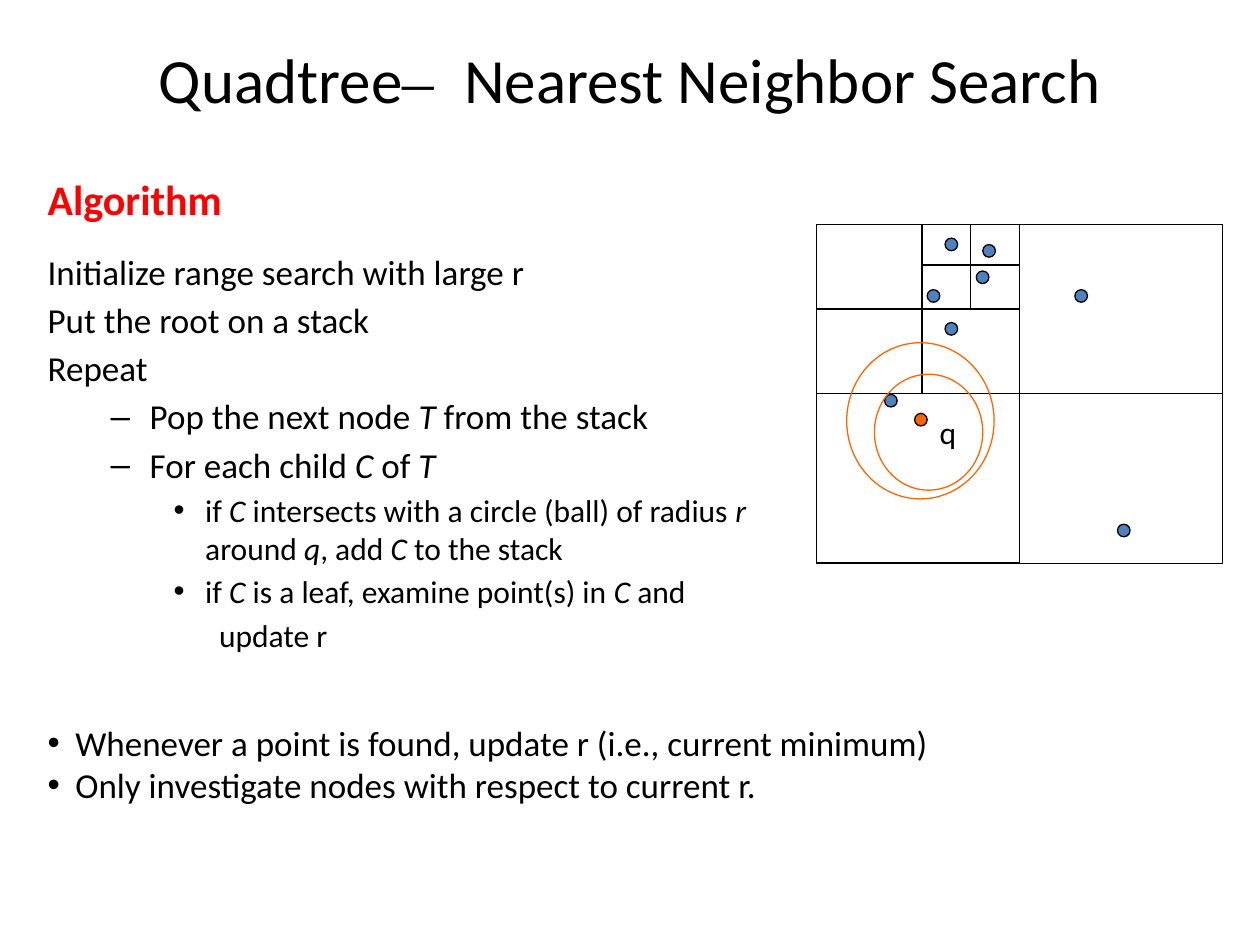
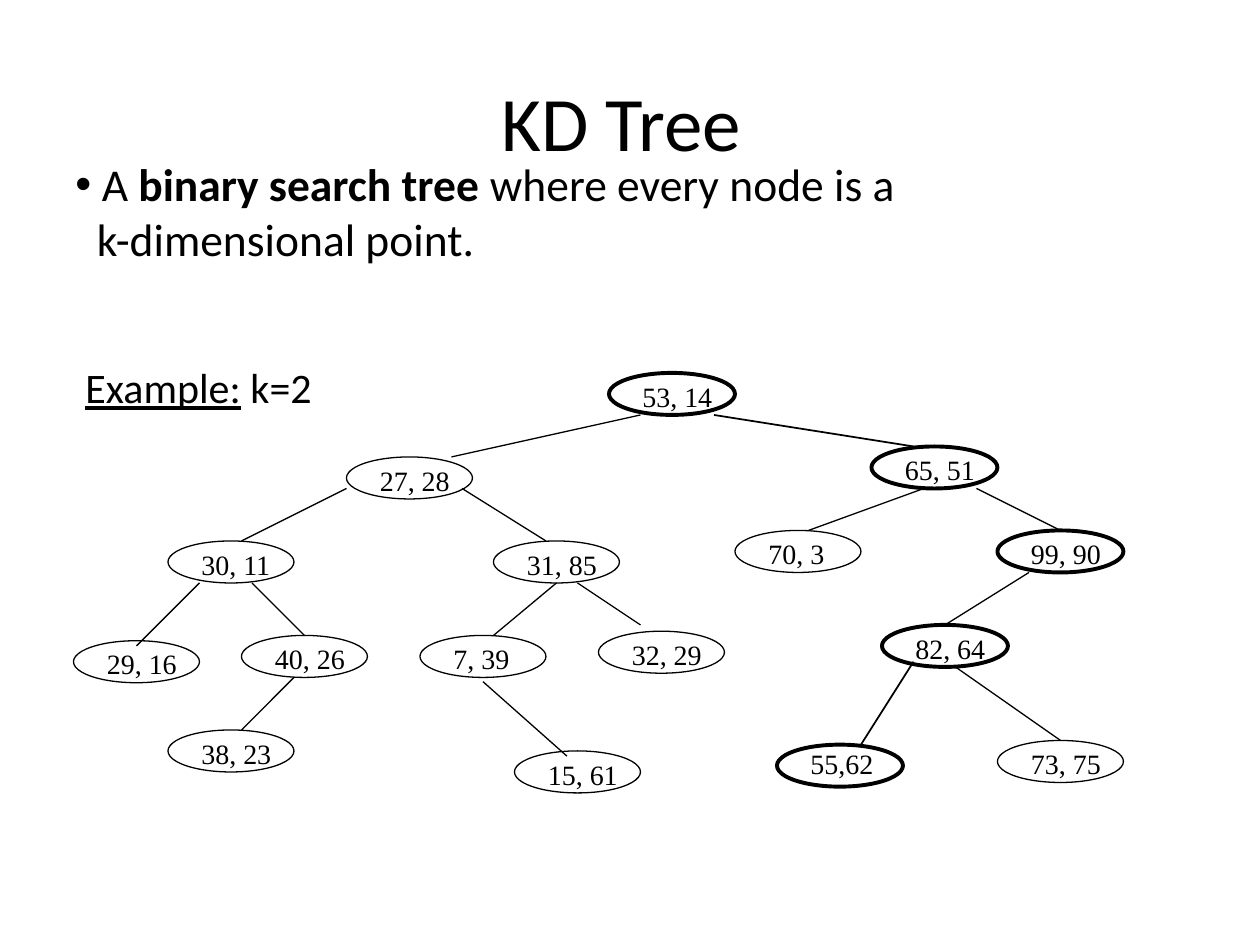
from lxml.etree import SubElement
from pptx import Presentation
from pptx.dml.color import RGBColor
from pptx.enum.shapes import MSO_CONNECTOR, MSO_SHAPE
from pptx.enum.text import MSO_ANCHOR, PP_ALIGN
from pptx.oxml.ns import qn
from pptx.util import Inches, Pt

COLORS = {"ink": "000000", "paper": "FFFFFF", "heading": "FF0000",
          "point": "4F81BD", "query": "FF6600"}
SANS, SERIF = "Calibri", "Times New Roman"
TITLE_BOX = (0.5, 0.3, 9, 1.25)
THIN, MEDIUM, THICK = 0.75, 1, 2.25


def add_text(s, box, paras, size, font=SANS, emph=None, wrap=True, top=0.05,
             align=PP_ALIGN.LEFT):
    """Write (text, options) paragraphs; parts between bars take emph."""
    tf = s.shapes.add_textbox(*[Inches(v) for v in box]).text_frame
    tf.word_wrap = wrap
    tf.vertical_anchor = MSO_ANCHOR.TOP
    tf.margin_top = Inches(top)
    for i, (text, opts) in enumerate(paras):
        p = tf.paragraphs[0] if i == 0 else tf.add_paragraph()
        p.alignment = align
        p.space_before = Pt(opts.get("before", 0))
        pPr = p._p.get_or_add_pPr()
        pPr.set("marL", str(Inches(opts.get("margin", 0))))
        pPr.set("indent", str(Inches(-opts.get("hang", 0))))
        if "bullet" in opts:
            SubElement(pPr, qn("a:buFont")).set("typeface", "Arial")
            SubElement(pPr, qn("a:buChar")).set("char", opts["bullet"])
        else:
            SubElement(pPr, qn("a:buNone"))
        for j, part in enumerate(text.split("|")):
            if not part:
                continue
            r = p.add_run()
            r.text = part
            r.font.name = font
            r.font.size = Pt(opts.get("size", size))
            r.font.bold = opts.get("bold", False)
            r.font.color.rgb = RGBColor.from_string(COLORS[opts.get("color", "ink")])
            if j % 2:
                for name, value in emph.items():
                    setattr(r.font, name, value)


def add_outline(s, kind, box, fill=None, line="ink", weight=THIN):
    sp = s.shapes.add_shape(kind, *[Inches(v) for v in box])
    sp.shadow.inherit = False
    if fill:
        sp.fill.solid()
        sp.fill.fore_color.rgb = RGBColor.from_string(COLORS[fill])
    else:
        sp.fill.background()
    sp.line.color.rgb = RGBColor.from_string(COLORS[line])
    sp.line.width = Pt(weight)


prs = Presentation()
prs.slide_width, prs.slide_height = Inches(10), Inches(7.5)
blank = prs.slide_layouts[6]
lines = []  # slide, x1, y1, x2, y2, weight

# Slide 1: algorithm text
s = prs.slides.add_slide(blank)
step = {"before": 3.6}
dash = {"before": 3.6, "margin": 0.81, "hang": 0.31, "bullet": "–"}
dot = {"before": 3.2, "margin": 1.25, "hang": 0.25, "bullet": "•", "size": 18}
add_text(s, (0.28, 1.33, 6.25, 3.97), [
    ("Algorithm", {"size": 24, "bold": True, "color": "heading"}),
    ("Initialize range search with large r", {"before": 14.8}),
    ("Put the root on a stack", step),
    ("Repeat", step),
    ("Pop the next node |T| from the stack", dash),
    ("For each child |C| of |T", dash),
    ("if |C| intersects with a circle (ball) of radius |r| around |q|, add |C| to the stack", dot),
    ("if |C| is a leaf, examine point(s) in |C |and", dot),
    ("update r", {"before": 3.2, "margin": 1.36, "size": 18}),
], 20, emph={"italic": True})

# Quadtree: coordinates are percent of its square
QX, QY, QW, QH = 6.48, 1.78, 3.22, 2.69
cells = [(0, 0, 100, 100), (0, 0, 50, 50), (50, 0, 50, 50), (0, 50, 50, 50),
         (26, 0, 24, 25), (26, 25, 24, 25), (0, 0, 26, 25)]
for x, y, w, h in cells:
    add_outline(s, MSO_SHAPE.RECTANGLE,
                (QX + QW * x / 100, QY + QH * y / 100, QW * w / 100, QH * h / 100))
for x1, y1, x2, y2 in [(26, 12, 50, 12), (38, 0, 38, 25)]:
    lines.append((s, QX + QW * x1 / 100, QY + QH * y1 / 100,
                  QX + QW * x2 / 100, QY + QH * y2 / 100, THIN))

# Data points, then the query point with its shrinking radius
points = [(27.3, 19.3), (74.2, 88.5), (63.7, 19.3), (31.7, 29), (16.8, 50.2),
          (41, 6), (39.4, 13.8), (31.7, 4.1), (24.2, 55.8)]
for i, (x, y) in enumerate(points):
    add_outline(s, MSO_SHAPE.FLOWCHART_CONNECTOR,
                (QX + QW * x / 100, QY + QH * y / 100, 0.1, 0.1),
                "query" if i == len(points) - 1 else "point")
for circle in [(6.72, 2.72, 1.17, 1.24), (6.94, 2.97, 0.86, 0.92)]:
    add_outline(s, MSO_SHAPE.OVAL, circle, line="query")
add_text(s, (7.36, 3.23, 0.34, 0.4), [("q", {})], 18, wrap=False)

# Closing remarks and title
remark = {"margin": 0.22, "hang": 0.22, "bullet": "•"}
add_text(s, (0.28, 5.68, 7.97, 0.77), [
    ("Whenever a point is found, update r (i.e., current minimum)", remark),
    ("Only investigate nodes with respect to current r.", remark),
], 20)
add_text(s, TITLE_BOX, [("Quadtree|– | Nearest Neighbor Search", {})], 36,
         emph={"name": SERIF}, top=0.02, align=PP_ALIGN.CENTER)

# Slide 2: title and definition
s = prs.slides.add_slide(blank)
add_text(s, TITLE_BOX, [("KD Tree ", {})], 44, top=0.29, align=PP_ALIGN.CENTER)
add_text(s, (0.5, 1.19, 9, 1.45), [
    ("A |binary search tree| where every node is a",
     {"margin": 0.21, "hang": 0.21, "bullet": "•"}),
    ("k-dimensional point.", {"margin": 0.17}),
], 26, emph={"bold": True})
add_text(s, (0.58, 2.82, 2.25, 0.51), [("|Example:| k=2", {})], 24,
         emph={"underline": True}, wrap=False)

# Tree nodes on a grid of twelfths of an inch: label, column, row, weight
UNIT, TREE_TOP = 1 / 12, 2.96
nodes = [
    ("53, 14", 58, 0, THICK), ("27, 28", 33, 8, THIN), ("65, 51", 83, 7, THICK),
    ("31, 85", 47, 16, THIN), ("30, 11", 16, 16, THIN), ("70, 3", 70, 15, THIN),
    ("99, 90", 95, 15, THICK), ("29, 16", 7, 25.5, THIN), ("40, 26", 23, 25, THIN),
    ("7, 39", 40, 25, THIN), ("32, 29", 57, 24.6, THIN), ("82, 64", 84, 24, THICK),
    ("73, 75", 95, 35, THIN), ("15, 61", 49, 36, THIN), ("38, 23", 16, 34, THIN),
    ("55,62", 74, 35.4, THICK),
]
for label, col, row, weight in nodes:
    x, y = col * UNIT, TREE_TOP + row * UNIT
    add_outline(s, MSO_SHAPE.OVAL, (x, y, 12 * UNIT, 4 * UNIT), "paper", weight=weight)
    lift = 0.03 if label == "55,62" else 0
    add_text(s, (x + 2 * UNIT, y - lift, 10 * UNIT, 0.37), [(label, {})], 16, SERIF)

# Tree edges on the same grid
edges = [
    (61, 4, 43, 8, THIN), (68, 4, 87, 7, MEDIUM), (33, 11, 23, 16, THIN),
    (44, 11, 52, 16, THIN), (88, 11, 77, 15, THIN), (93, 11, 101, 15, THIN),
    (98, 19, 90, 24, THIN), (91, 28, 101, 35, THIN), (19, 20, 13, 26, THIN),
    (24, 20, 29, 25, THIN), (28, 29, 23, 34, THIN), (53, 20, 47, 25, THIN),
    (55, 20, 61, 24, THIN), (87, 27.5, 82, 35.4, MEDIUM), (46, 29.4, 54, 36.5, THIN),
]
for x1, y1, x2, y2, weight in edges:
    lines.append((s, x1 * UNIT, TREE_TOP + y1 * UNIT,
                  x2 * UNIT, TREE_TOP + y2 * UNIT, weight))

# Straight lines of both slides
for s, *ends, weight in lines:
    cn = s.shapes.add_connector(MSO_CONNECTOR.STRAIGHT, *[Inches(v) for v in ends])
    cn.line.color.rgb = RGBColor.from_string(COLORS["ink"])
    cn.line.width = Pt(weight)
    SubElement(cn._element.spPr, qn("a:effectLst"))

prs.save("out.pptx")
